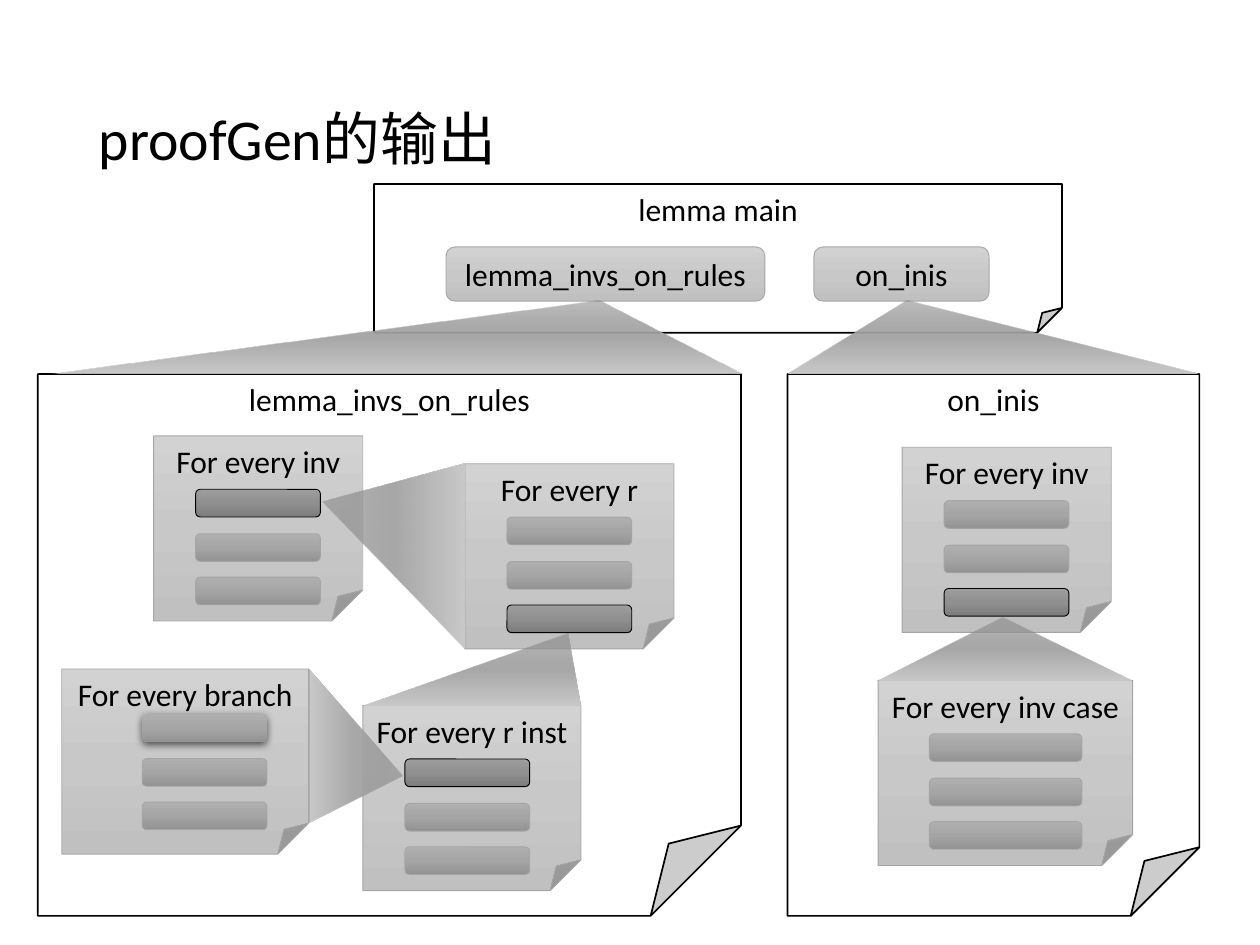
from lxml.etree import SubElement
from pptx import Presentation
from pptx.dml.color import RGBColor
from pptx.enum.shapes import MSO_SHAPE as Shape
from pptx.enum.text import MSO_ANCHOR as Anchor, PP_ALIGN as Align
from pptx.oxml.ns import qn
from pptx.util import Pt

TITLE = "proofGen的输出"

# text, left, top, width, height
MAIN_PAGE = ("lemma main", 213.8, 105.1, 393.1, 85)
RULES_PAGE = ("lemma_invs_on_rules", 21.6, 213.8, 401.8, 309.6)
INIS_PAGE = ("on_inis", 450, 213.8, 235.4, 309.6)
CALLS = [
    ("lemma_invs_on_rules", 254.9, 141.1, 182.2, 31),
    ("on_inis", 465.1, 141.1, 100.1, 31),
]

# "bars" holds the left and top offset of the bars and their width;
# "active" is the index of the bar that is expanded elsewhere.
SMALL_BARS = (24, 30.5, 71.3)
RULES_CARDS = [
    dict(text="For every inv", at=(87.8, 249.1), width=119.5, bars=SMALL_BARS, active=0),
    dict(text="For every r", at=(265.7, 265), width=119.5, bars=SMALL_BARS, active=2),
    dict(text="For every r inst", at=(207.4, 403.2), width=124.6, bars=SMALL_BARS, active=0),
]
INIS_CARDS = [
    dict(text="For every inv", at=(515.5, 255.6), width=119.5, bars=SMALL_BARS, active=2),
    dict(text="For every inv case", at=(501.8, 388.8), width=145.4, bars=(29.3, 30.5, 87.1)),
]
BRANCH_CARD = dict(text="For every branch", at=(35.3, 382.3), width=141.1,
                   bars=(46, 25.8, 71.3), raised=0)

# rotation, tip (x, y), position of the base, extent of the base
BEAMS = [
    (0, (342.4, 172.1), 213.3, (29.5, 424.1)),
    (0, (518.3, 172.1), 213.3, (450, 685.4)),
    (270, (184.3, 286.9), 265.7, (265, 370.8)),
    (0, (324.6, 362.2), 403.2, (207.4, 331.9)),
    (0, (573.2, 352.8), 388.8, (501.8, 647.3)),
    (90, (230, 443.2), 176.8, (382.7, 469.8)),
]

CARD_HEIGHT = 105.8
BAR_HEIGHT = 15.8
BAR_STEPS = (0, 25.4, 50.2)

# Gradient stops: position %, colour, opacity %
THEME = dict(
    font="Calibri", title_size=33, body_size=18,
    ink="000000", paper="FFFFFF", edge="A5A5A5",
    card=[(0, "D2D2D2", 100), (50, "C8C8C8", 100), (100, "C0C0C0", 100)],
    bar=[(0, "AFAFAF", 100), (50, "A5A5A5", 100), (100, "939393", 100)],
    active=[(0, "9D9D9D", 100), (50, "909090", 100), (100, "7C7C7C", 100)],
    beam=[(0, "808080", 50), (52, "A8A8A8", 100), (100, "C9C9C9", 100)],
)


def add_color(parent, color, opacity):
    rgb = SubElement(parent, qn("a:srgbClr"), val=color)
    if opacity < 100:
        SubElement(rgb, qn("a:alpha"), val=str(opacity * 1000))


def fill_gradient(shape, stops):
    """Fill from top to bottom, turning with the shape."""
    shape.fill.gradient()
    shape.fill.gradient_angle = 270
    gradient = shape._element.spPr.find(qn("a:gradFill"))
    gradient.set("rotWithShape", "1")
    stop_list = gradient.find(qn("a:gsLst"))
    for old_stop in list(stop_list):
        stop_list.remove(old_stop)
    for position, color, opacity in stops:
        stop = SubElement(stop_list, qn("a:gs"), pos=str(position * 1000))
        add_color(stop, color, opacity)


def write(shape, text, size, align, anchor):
    frame = shape.text_frame
    frame.text = text
    frame.word_wrap = True
    frame.vertical_anchor = anchor
    paragraph = frame.paragraphs[0]
    paragraph.alignment = align
    for run in paragraph.runs:
        run.font.name = THEME["font"]
        run.font.size = Pt(size)
        run.font.color.rgb = RGBColor.from_string(THEME["ink"])
    return paragraph


def add_box(slide, kind, box, fill, edge=None, edge_width=0.5, text="", anchor=Anchor.TOP):
    shape = slide.shapes.add_shape(kind, *map(Pt, box))
    shape.shadow.inherit = False
    if isinstance(fill, str):
        shape.fill.solid()
        shape.fill.fore_color.rgb = RGBColor.from_string(fill)
    else:
        fill_gradient(shape, fill)
    if edge:
        shape.line.color.rgb = RGBColor.from_string(edge)
        shape.line.width = Pt(edge_width)
    else:
        shape.line.fill.background()
    if text:
        shape.text_frame.margin_left = shape.text_frame.margin_right = Pt(2)
        write(shape, text, THEME["body_size"], Align.CENTER, anchor)
    return shape


def add_page(slide, page):
    text, *box = page
    add_box(slide, Shape.FOLDED_CORNER, box, THEME["paper"], THEME["ink"], 1, text)


def raise_with_shadow(shape):
    effects = shape._element.spPr.find(qn("a:effectLst"))
    shadow = SubElement(effects, qn("a:outerShdw"), blurRad=str(Pt(4.5)),
                        dist=str(Pt(1.5)), dir="5400000", rotWithShape="0")
    add_color(shadow, THEME["ink"], 63)


def add_card(slide, card):
    left, top = card["at"]
    add_box(slide, Shape.FOLDED_CORNER, (left, top, card["width"], CARD_HEIGHT),
            THEME["card"], THEME["edge"], text=card["text"])
    bar_left, bar_top, bar_width = card["bars"]
    for index, step in enumerate(BAR_STEPS):
        active = index == card.get("active")
        raised = index == card.get("raised")
        edge = None if raised else THEME["ink" if active else "edge"]
        bar = add_box(slide, Shape.ROUNDED_RECTANGLE,
                      (left + bar_left, top + bar_top + step, bar_width, BAR_HEIGHT),
                      THEME["active" if active else "bar"], edge)
        if raised:
            raise_with_shadow(bar)


def add_beam(slide, rotation, tip, base, extent):
    """Join a tip to the edge it expands into; the triangle is turned about its centre."""
    start, end = extent
    across, along = tip if rotation == 0 else tip[::-1]
    width, height = end - start, abs(base - along)
    center = ((start + end) / 2, (base + along) / 2)
    center_x, center_y = center if rotation == 0 else center[::-1]
    beam = add_box(slide, Shape.ISOSCELES_TRIANGLE,
                   (center_x - width / 2, center_y - height / 2, width, height), THEME["beam"])
    share = (across - start) / width
    beam.adjustments[0] = 1 - share if rotation == 270 else share
    beam.rotation = rotation


def main():
    deck = Presentation()
    deck.slide_width, deck.slide_height = Pt(720), Pt(540)
    slide = deck.slides.add_slide(deck.slide_layouts[6])

    title = slide.shapes.add_textbox(Pt(49.5), Pt(28.8), Pt(621), Pt(104.4))
    write(title, TITLE, THEME["title_size"], Align.LEFT, Anchor.MIDDLE).line_spacing = 0.9

    add_page(slide, MAIN_PAGE)
    for text, *box in CALLS:
        add_box(slide, Shape.ROUNDED_RECTANGLE, box, THEME["card"], THEME["edge"],
                text=text, anchor=Anchor.MIDDLE)
    for page, cards in ((RULES_PAGE, RULES_CARDS), (INIS_PAGE, INIS_CARDS)):
        add_page(slide, page)
        for card in cards:
            add_card(slide, card)
    for beam in BEAMS:
        add_beam(slide, *beam)
    add_card(slide, BRANCH_CARD)

    deck.save("out.pptx")


if __name__ == "__main__":
    main()
